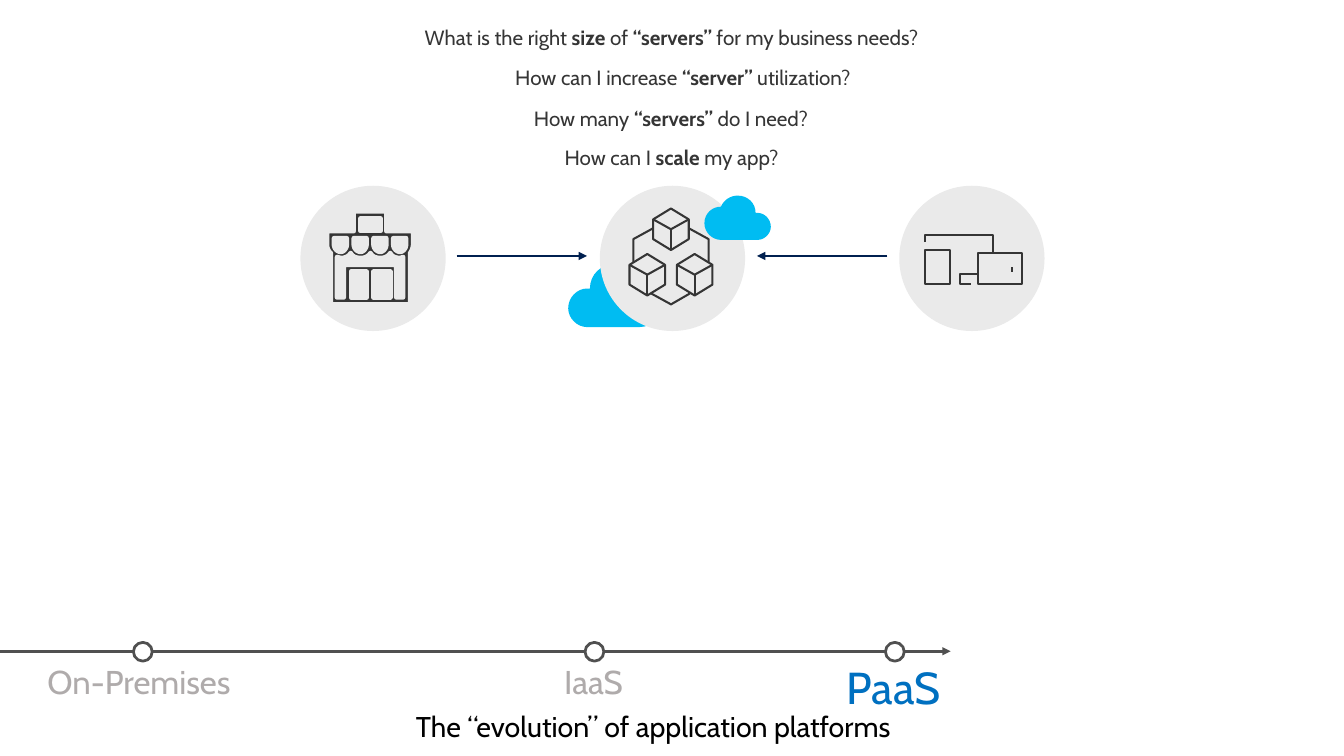
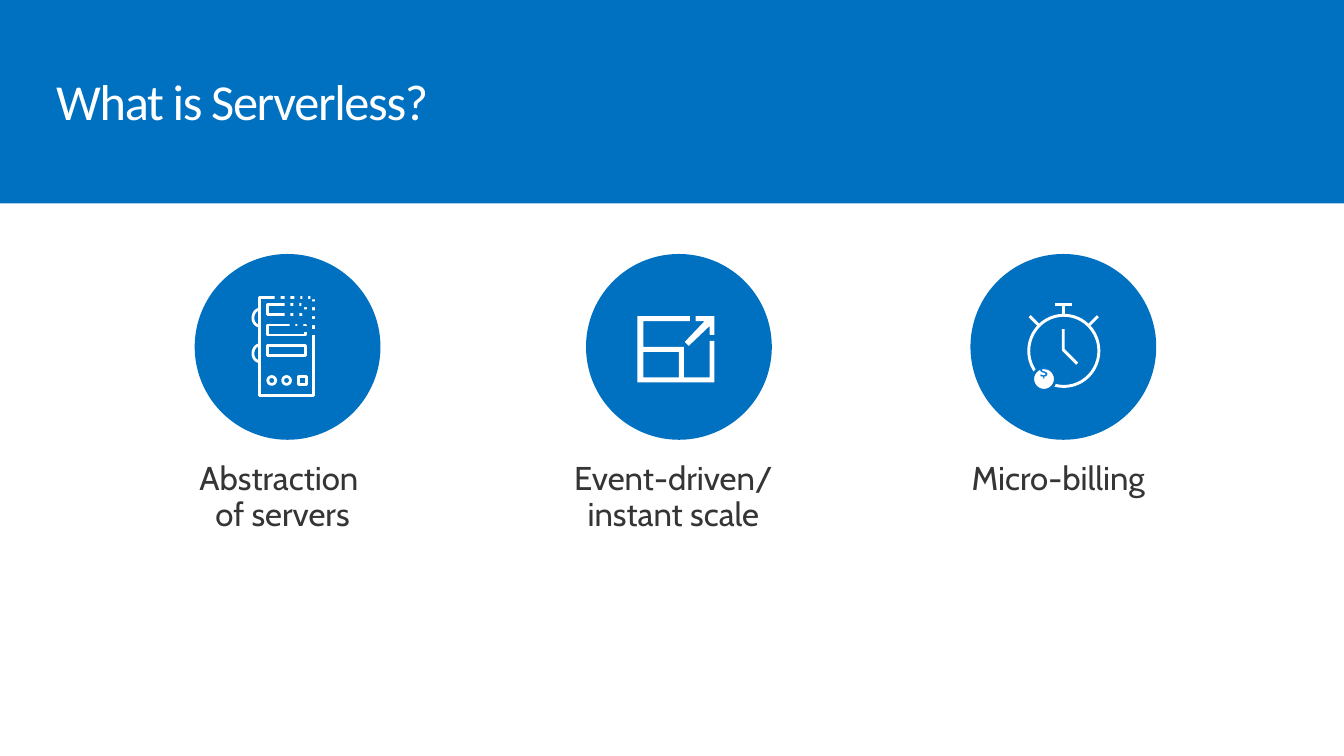
"""Build two slides on application platforms and serverless computing."""
from dataclasses import dataclass
from typing import Any, Optional, Sequence

from lxml.etree import SubElement
from pptx import Presentation
from pptx.dml.color import RGBColor
from pptx.enum.shapes import MSO_CONNECTOR, MSO_SHAPE
from pptx.enum.text import MSO_ANCHOR, MSO_AUTO_SIZE, PP_ALIGN
from pptx.oxml.ns import qn
from pptx.util import Inches, Pt

BLUE = RGBColor(0x00, 0x70, 0xC0)
DOLLAR_BLUE = RGBColor(0x00, 0x78, 0xD7)
SKY = RGBColor(0x00, 0xBC, 0xF2)
NAVY = RGBColor(0x00, 0x20, 0x50)
INK = RGBColor(0x35, 0x35, 0x35)
RAIL = RGBColor(0x50, 0x50, 0x50)
MUTED = RGBColor(0xAF, 0xAB, 0xAB)
PALE = RGBColor(0xEA, 0xEA, 0xEA)
WHITE = RGBColor(0xFF, 0xFF, 0xFF)
BLACK = RGBColor(0x00, 0x00, 0x00)

BODY_FONT = "Cabin"
TITLE_FONT = "Calibri"
SLIDE_WIDTH, SLIDE_HEIGHT = 13.6, 7.65
RECT, OVAL = MSO_SHAPE.RECTANGLE, MSO_SHAPE.OVAL
CURVE_PIECES = 8
TIMELINE_Y = 6.59

Steps = Sequence[tuple[float, ...]]
Place = tuple[float, float, float, float]


@dataclass(frozen=True)
class Pen:
    color: RGBColor
    weight: float


@dataclass(frozen=True)
class TextStyle:
    size: float
    color: RGBColor
    font: str = BODY_FONT
    align: PP_ALIGN = PP_ALIGN.LEFT
    insets: Place = (0.1, 0.05, 0.1, 0.05)
    leading: Optional[float] = None
    after: float = 0
    wrap: bool = True
    grow: bool = True
    anchor: MSO_ANCHOR = MSO_ANCHOR.TOP
    tracking: int = 0


@dataclass(frozen=True)
class Stage:
    name: str
    dot_left: float
    label: Place
    style: TextStyle


@dataclass(frozen=True)
class Question:
    place: Place
    phrases: tuple[str, ...]


def label_style(size: float, color: RGBColor) -> TextStyle:
    return TextStyle(size, color, insets=(0.2, 0.16, 0.2, 0.16), leading=0.9, after=6, wrap=False)


INK_PEN = Pen(INK, 1.5)
RAIL_PEN = Pen(RAIL, 2)
FLOW_PEN = Pen(NAVY, 2)
SERVER_PEN = Pen(WHITE, 2)
WATCH_PEN = Pen(WHITE, 2.13)
QUESTION = TextStyle(15, INK, align=PP_ALIGN.CENTER)
FOOTER = TextStyle(20.8, BLACK, leading=0.7, grow=False, anchor=MSO_ANCHOR.MIDDLE)
TITLE = TextStyle(36.7, WHITE, font=TITLE_FONT, leading=0.9, grow=False, tracking=-100)
CAPTION = TextStyle(24, INK, align=PP_ALIGN.CENTER, insets=(0.1, 0.16, 0.2, 0.16), leading=0.9, after=6)
PAST_STAGE = label_style(24, MUTED)

STAGES = (
    Stage("On-Premises", 1.35, (0.28, 6.58, 2.33, 0.69), PAST_STAGE),
    Stage("IaaS", 5.92, (5.51, 6.58, 1.03, 0.69), PAST_STAGE),
    Stage("PaaS", 8.96, (8.37, 6.58, 1.39, 0.83), label_style(32.6, BLUE)),
)
QUESTIONS = (
    Question((3.68, 0.2, 6.23, 0.36),
             ("What is the right ", "size", " of ", "“servers”", " for my business needs?")),
    Question((4.67, 0.61, 4.48, 0.36), ("How can I increase", " “server”", " utilization?")),
    Question((4.68, 1.02, 4.22, 0.36), ("How many ", "“servers” ", "do I need?")),
    Question((5.54, 1.42, 2.51, 0.35), ("How can I ", "scale", " my app?")),
)
CAPTIONS = (
    ("Abstraction \nof servers", (1.47, 4.52, 2.88, 1.07)),
    ("Event-driven/ instant scale", (5.38, 4.52, 2.97, 1.07)),
    ("Micro-billing", (9.39, 4.52, 2.74, 0.7)),
)
CLOUD: Steps = (
    (0.22, 0.25), (0.22, 0.11, 0.33, 0, 0.48, 0), (0.58, 0, 0.68, 0.06, 0.72, 0.16),
    (0.85, 0.16, 0.96, 0.26, 0.96, 0.4), (0.96, 0.53, 0.85, 0.64, 0.72, 0.64), (0.19, 0.64),
    (0.09, 0.64, 0, 0.55, 0, 0.45), (0, 0.34, 0.09, 0.25, 0.19, 0.25),
)
CUBE: Steps = ((0, 0.11), (0.18, 0), (0.36, 0.11), (0.36, 0.31), (0.18, 0.42), (0, 0.31))
CUBE_TOP: Steps = ((0.36, 0.11), (0.18, 0.21), (0, 0.11))
HANDLE: Steps = ((0.07, 0.17), (0.03, 0.17, 0, 0.13, 0, 0.09), (0, 0.04, 0.03, 0, 0.07, 0))
ERASED_PIXELS = (
    (2.78, 2.98), (2.88, 2.97), (2.98, 2.97), (3.06, 2.97), (3.14, 2.97),
    (2.88, 3.04), (2.97, 3.04), (3.05, 3.05), (3.15, 3.05),
    (2.88, 3.16), (2.97, 3.15), (3.06, 3.13), (3.06, 3.15), (3.15, 3.14),
    (2.93, 3.26), (3.01, 3.26), (3.14, 3.23), (3.06, 3.3), (3.14, 3.33),
)


def paint(shape: Any, fill: Optional[RGBColor], pen: Optional[Pen]) -> None:
    shape.shadow.inherit = False
    if fill is None:
        shape.fill.background()
    else:
        shape.fill.solid()
        shape.fill.fore_color.rgb = fill
    if pen is None:
        shape.line.fill.background()
    else:
        shape.line.color.rgb = pen.color
        shape.line.width = Pt(pen.weight)


def add_preset(shapes: Any, kind: MSO_SHAPE, place: Place,
               fill: Optional[RGBColor] = None, pen: Optional[Pen] = None) -> None:
    paint(shapes.add_shape(kind, *map(Inches, place)), fill, pen)


def add_line(shapes: Any, start: tuple[float, float], end: tuple[float, float],
             pen: Pen, arrow: bool = False) -> None:
    line = shapes.add_connector(MSO_CONNECTOR.STRAIGHT, *map(Inches, start + end))
    line.line.color.rgb = pen.color
    line.line.width = Pt(pen.weight)
    if arrow:
        SubElement(line.line._get_or_add_ln(), qn("a:tailEnd"), type="triangle")
    SubElement(line._element.spPr, qn("a:effectLst"))


def moved(steps: Steps, left: float, top: float, across: float = 1, down: float = 1) -> Steps:
    return [tuple(left + value * across if index % 2 == 0 else top + value * down
                  for index, value in enumerate(step)) for step in steps]


def flatten(steps: Steps) -> list[tuple[int, int]]:
    points = [steps[0]]
    for step in steps[1:]:
        if len(step) == 2:
            points.append(step)
            continue
        corners = (points[-1], step[0:2], step[2:4], step[4:6])
        for piece in range(1, CURVE_PIECES + 1):
            t = piece / CURVE_PIECES
            weights = ((1 - t) ** 3, 3 * t * (1 - t) ** 2, 3 * t * t * (1 - t), t ** 3)
            points.append(tuple(sum(w * corner[axis] for w, corner in zip(weights, corners))
                                for axis in (0, 1)))
    return [(Inches(x), Inches(y)) for x, y in points]


def add_outline(shapes: Any, contours: Sequence[Steps], fill: Optional[RGBColor] = None,
                pen: Optional[Pen] = None, close: bool = True) -> None:
    first, *others = map(flatten, contours)
    builder = shapes.build_freeform(*first[0], scale=1.0)
    builder.add_line_segments(first[1:], close=close)
    for points in others:
        builder.move_to(*points[0])
        builder.add_line_segments(points[1:], close=close)
    paint(builder.convert_to_shape(), fill, pen)


def add_text(shapes: Any, place: Place, phrases: Sequence[str], style: TextStyle) -> None:
    box = shapes.add_textbox(*map(Inches, place))
    frame = box.text_frame
    frame.word_wrap = style.wrap
    frame.auto_size = MSO_AUTO_SIZE.SHAPE_TO_FIT_TEXT if style.grow else MSO_AUTO_SIZE.NONE
    frame.vertical_anchor = style.anchor
    (frame.margin_left, frame.margin_top,
     frame.margin_right, frame.margin_bottom) = map(Inches, style.insets)
    para = frame.paragraphs[0]
    para.alignment = style.align
    para.space_after = Pt(style.after)
    if style.leading:
        para.line_spacing = style.leading
    for index, phrase in enumerate(phrases):
        for row, words in enumerate(phrase.split("\n")):
            if row:
                para.add_line_break()
            span = para.add_run()
            span.text = words
            span.font.name = style.font
            span.font.size = Pt(style.size)
            span.font.bold = index % 2 == 1
            span.font.color.rgb = style.color
            if style.tracking:
                span._r.get_or_add_rPr().set("spc", str(style.tracking))


def add_badge(page: Any, left: float, top: float, size: float, fill: RGBColor) -> Any:
    shapes = page.shapes.add_group_shape().shapes
    add_preset(shapes, OVAL, (left, top, size, size), fill)
    return shapes


def box_steps(left: float, top: float, right: float, bottom: float) -> Steps:
    return ((left, top), (right, top), (right, bottom), (left, bottom))


def draw_cubes(page: Any) -> None:
    shapes = add_badge(page, 6.07, 1.88, 1.47, PALE)
    for left, top in ((6.85, 2.57), (6.37, 2.57), (6.61, 2.11)):
        add_outline(shapes, [moved(CUBE, left, top)], pen=INK_PEN)
        add_outline(shapes, [moved(CUBE_TOP, left, top)], pen=INK_PEN, close=False)
        add_line(shapes, (left + 0.18, top + 0.21), (left + 0.18, top + 0.42), INK_PEN)
    for link in (((6.98, 2.97), (6.79, 3.08), (6.59, 2.97)),
                 ((6.97, 2.31), (7.17, 2.42), (7.17, 2.65)),
                 ((6.41, 2.65), (6.41, 2.42), (6.61, 2.31))):
        add_outline(shapes, [link], pen=INK_PEN, close=False)


def draw_shop(page: Any) -> None:
    shapes = add_badge(page, 3.04, 1.88, 1.47, PALE)
    walls = ((3.35, 3.08), (4.15, 3.08), (4.15, 2.56), (4.16, 2.55, 4.18, 2.51, 4.18, 2.48),
             (4.18, 2.34), (3.91, 2.34), (3.91, 2.14), (3.58, 2.14), (3.58, 2.34),
             (3.31, 2.34), (3.31, 2.48), (3.31, 2.51, 3.33, 2.55, 3.35, 2.56))
    front = [(4.01, 3.01), (4.01, 2.68), (3.48, 2.68), (3.48, 3.01), (3.41, 3.01),
             (3.41, 2.6), (3.45, 2.61)]
    for x in (3.45, 3.65, 3.85):
        front += [(x + 0.04, 2.61, x + 0.07, 2.6, x + 0.1, 2.56),
                  (x + 0.12, 2.6, x + 0.16, 2.61, x + 0.2, 2.61)]
    front += [(4.08, 2.6), (4.08, 3.01)]
    flap = ((0, 0), (0.13, 0), (0.13, 0.07), (0.13, 0.1, 0.1, 0.14, 0.07, 0.14),
            (0.03, 0.14, 0, 0.1, 0, 0.07))
    flaps = [moved(flap, 3.38 + 0.2 * index, 2.41) for index in range(4)]
    holes = [box_steps(3.55, 2.75, 3.71, 3.01), box_steps(3.78, 2.75, 3.95, 3.01),
             box_steps(3.65, 2.21, 3.85, 2.34)]
    add_outline(shapes, [walls, front, *flaps, *holes], INK, Pen(PALE, 3.25))


def draw_devices(page: Any) -> None:
    shapes = add_badge(page, 9.1, 1.88, 1.47, PALE)
    for place in ((9.36, 2.53, 0.25, 0.34), (9.9, 2.56, 0.44, 0.31)):
        add_preset(shapes, RECT, place, pen=INK_PEN)
    add_line(shapes, (10.24, 2.75), (10.24, 2.7), Pen(INK, 2))
    for edge in (((9.9, 2.77), (9.71, 2.77), (9.71, 2.87), (9.83, 2.87)),
                 ((9.36, 2.45), (9.36, 2.38), (10.05, 2.38), (10.05, 2.56))):
        add_outline(shapes, [edge], pen=INK_PEN, close=False)


def draw_server(page: Any) -> None:
    shapes = add_badge(page, 1.97, 2.57, 1.88, BLUE)
    add_preset(shapes, RECT, (2.63, 3.01, 0.54, 0.99), pen=SERVER_PEN)
    for row in range(3):
        add_preset(shapes, RECT, (2.71, 3.08 + 0.21 * row, 0.38, 0.1), pen=SERVER_PEN)
    for top in (3.13, 3.49):
        add_outline(shapes, [moved(HANDLE, 2.56, top)], pen=SERVER_PEN, close=False)
    for kind, left in ((OVAL, 2.71), (OVAL, 2.86), (RECT, 3.02)):
        add_preset(shapes, kind, (left, 3.81, 0.08, 0.08), pen=SERVER_PEN)
    for left, top in ERASED_PIXELS:
        add_preset(shapes, RECT, (left, top, 0.06, 0.06), BLUE)


def draw_scale(page: Any) -> None:
    shapes = add_badge(page, 5.93, 2.57, 1.88, BLUE)
    frame = ((7.18, 3.82), (6.92, 3.82), (6.92, 3.51), (6.51, 3.51), (6.51, 3.25), (6.98, 3.25),
             (6.98, 3.2), (6.45, 3.2), (6.45, 3.87), (7.23, 3.87), (7.23, 3.45), (7.18, 3.45))
    arrow = ((7.04, 3.25), (7.13, 3.25), (6.93, 3.46), (6.97, 3.5), (7.18, 3.3),
             (7.18, 3.39), (7.23, 3.39), (7.23, 3.2), (7.04, 3.2))
    add_outline(shapes, [frame, box_steps(6.51, 3.56, 6.87, 3.82)], WHITE)
    add_outline(shapes, [arrow], WHITE)


def draw_stopwatch(page: Any) -> None:
    shapes = add_badge(page, 9.82, 2.57, 1.88, BLUE)
    add_outline(shapes, [((10.76, 3.33), (10.76, 3.54), (10.9, 3.68))], pen=WATCH_PEN, close=False)
    add_preset(shapes, OVAL, (10.41, 3.19, 0.71, 0.72), pen=WATCH_PEN)
    for start, end in (((10.68, 3.08), (10.85, 3.08)), ((10.76, 3.19), (10.76, 3.08)),
                       ((11.11, 3.2), (11.01, 3.3)), ((10.42, 3.2), (10.52, 3.3))):
        add_line(shapes, start, end, WATCH_PEN)
    add_preset(shapes, OVAL, (10.45, 3.72, 0.23, 0.23), WHITE, Pen(BLUE, 2))
    add_text(page.shapes, (10.32, 3.6, 0.5, 0.5), ("$",), label_style(12, DOLLAR_BLUE))


def build_evolution(page: Any) -> None:
    shapes = page.shapes
    add_line(shapes, (0, TIMELINE_Y), (9.62, TIMELINE_Y), RAIL_PEN, arrow=True)
    for stage in STAGES:
        add_preset(shapes, OVAL, (stage.dot_left, 6.5, 0.19, 0.19), WHITE, RAIL_PEN)
        add_text(shapes, stage.label, (stage.name,), stage.style)
    add_outline(shapes, [moved(CLOUD, 5.75, 2.67)], SKY)
    draw_cubes(page)
    draw_shop(page)
    draw_devices(page)
    for start, end in ((4.62, 5.94), (8.98, 7.66)):
        add_line(shapes, (start, 2.59), (end, 2.59), FLOW_PEN, arrow=True)
    add_outline(shapes, [moved(CLOUD, 7.8, 1.98, -0.7, 0.7)], SKY)
    for question in QUESTIONS:
        add_text(shapes, question.place, question.phrases, QUESTION)
    add_text(shapes, (4.11, 7.21, 5.3, 0.36), ("The “evolution” of application platforms",), FOOTER)


def build_serverless(page: Any) -> None:
    for words, place in CAPTIONS:
        add_text(page.shapes, place, (words,), CAPTION)
    draw_stopwatch(page)
    draw_scale(page)
    draw_server(page)
    add_preset(page.shapes, RECT, (0, 0, SLIDE_WIDTH, 2.06), BLUE)
    add_text(page.shapes, (0.47, 0.73, 13, 0.61), ("What is Serverless?",), TITLE)


def main() -> None:
    deck = Presentation()
    deck.slide_width, deck.slide_height = Inches(SLIDE_WIDTH), Inches(SLIDE_HEIGHT)
    for build in (build_evolution, build_serverless):
        build(deck.slides.add_slide(deck.slide_layouts[6]))
    deck.save("out.pptx")


if __name__ == "__main__":
    main()
